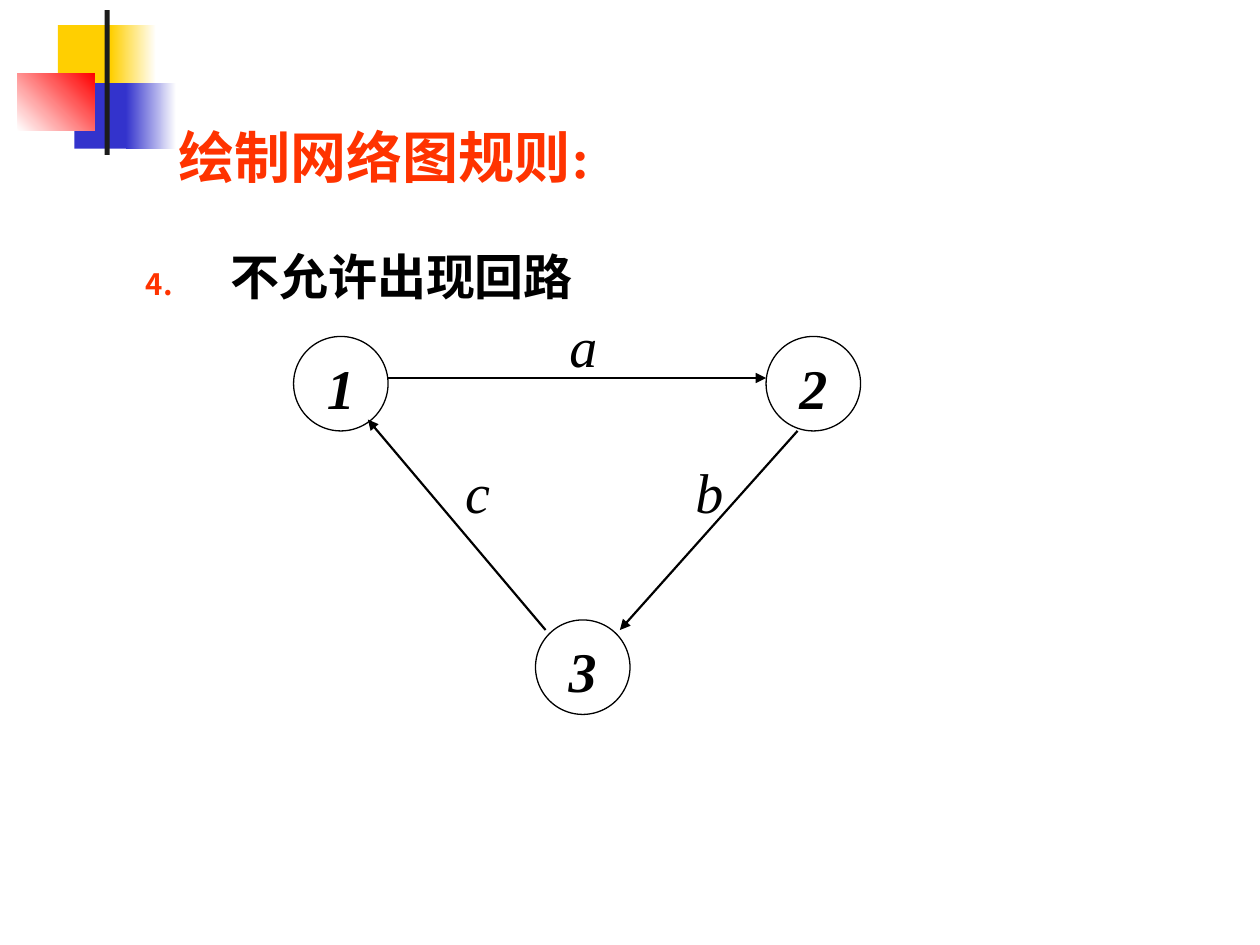
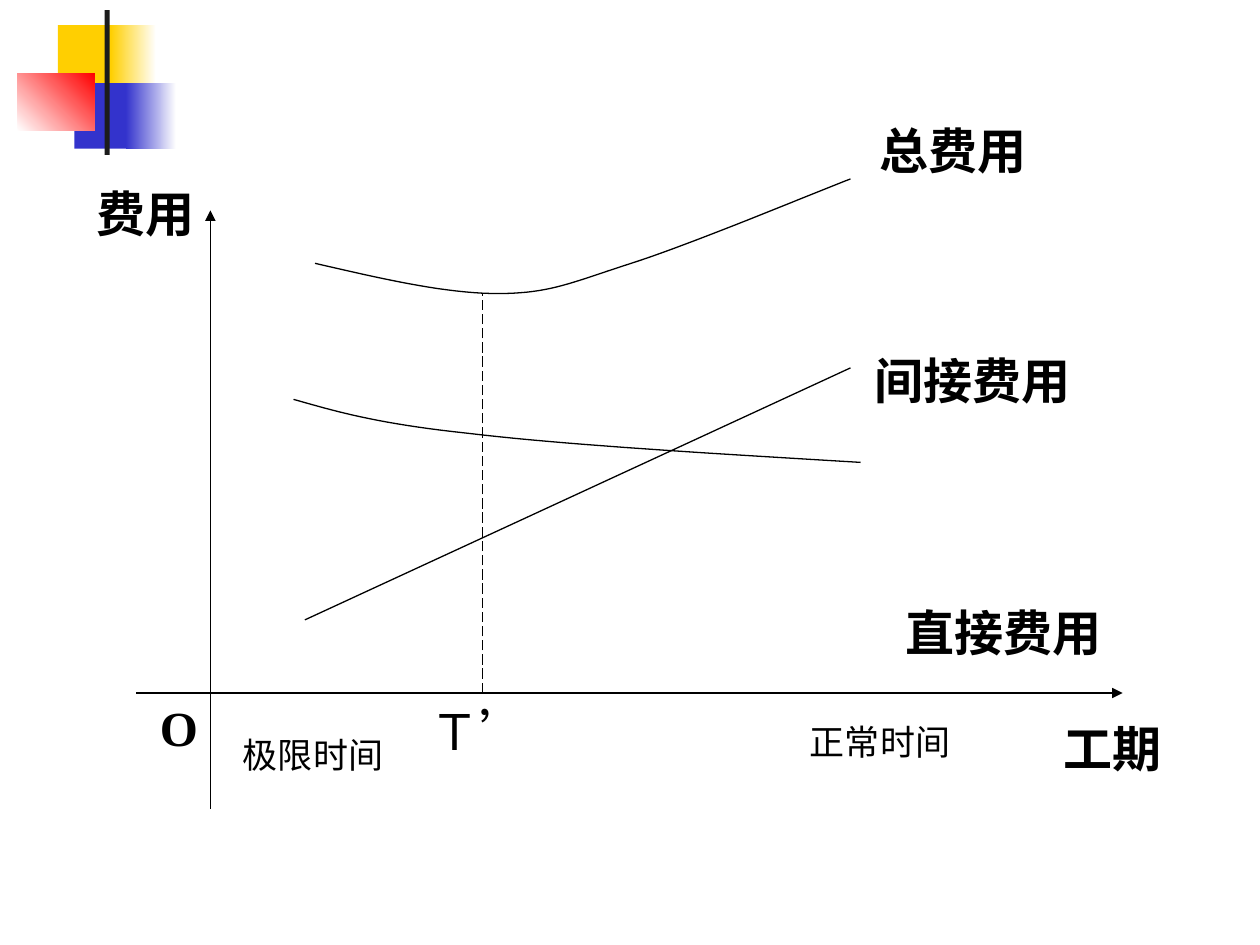
import pptx
import pptx.util
import pptx.dml.color
import pptx.enum.dml
import pptx.enum.shapes
import pptx.enum.text
import pptx.oxml
import pptx.oxml.ns
from dataclasses import dataclass

Inches = pptx.util.Inches
Pt = pptx.util.Pt
SHAPE = pptx.enum.shapes.MSO_SHAPE
CENTER = pptx.enum.text.PP_ALIGN.CENTER


@dataclass(frozen=True)
class Theme:
    ink: str = "000000"
    accent: str = "FF3300"
    yellow: str = "FFCF01"
    blue: str = "3333CC"
    red: str = "FF0000"
    white: str = "FFFFFF"
    bar: str = "1C1C1C"
    serif: str = "Times New Roman"
    sans: str = "Karla"
    large: int = 32
    medium: int = 28
    small: int = 20
    thin: float = 0.75
    arrow: float = 1.25


T = Theme()

# Corner ornament: left, top, width, height, colours, gradient angle
ORNAMENT = [
    (0.46, 0.2, 0.48, 0.52, [T.yellow], 0),
    (0.88, 0.2, 0.36, 0.52, [T.yellow, T.white], 0),
    (0.59, 0.66, 0.46, 0.52, [T.blue], 0),
    (1, 0.66, 0.4, 0.52, [T.blue, T.white], 0),
    (0.14, 0.58, 0.61, 0.46, [T.white, T.red], 45),
    (0.83, 0.08, 0.04, 1.15, [T.bar], 0),
]

# Network rules slide
TITLE = "绘制网络图规则:"
RULE_NUMBER, RULE = 4, "不允许出现回路"
NODE_SIZE = 0.75
NODES = [("1", 2.33, 2.67), ("2", 6.08, 2.67), ("3", 4.25, 4.92)]
# Activity: name, label box, arrow start, arrow end
ACTIVITIES = [
    ("a", (4.42, 2.42, 0.42, 0.64), (3.08, 3), (6.08, 3)),
    ("b", (5.42, 3.58, 0.42, 0.64), (6.33, 3.42), (4.92, 5)),
    ("c", (3.59, 3.58, 0.4, 0.64), (4.33, 5), (2.92, 3.33)),
]

# Cost and duration slide
AXES = [((1.08, 5.5), (8.91, 5.5)), ((1.67, 6.42), (1.67, 1.67))]
OPTIMUM = ((3.83, 5.5), (3.83, 2.33))
INDIRECT_COST = ((2.42, 4.92), (6.75, 2.92))
# Each curve: a start point, then cubic pieces of two controls and an end
COST_CURVES = [
    ((2.33, 3.17), [((2.65, 3.26), (2.97, 3.36), (3.72, 3.44)),
                    ((4.47, 3.53), (5.65, 3.6), (6.83, 3.67))]),
    ((2.5, 2.09), [((3.02, 2.21), (3.53, 2.33), (3.95, 2.33)),
                   ((4.37, 2.33), (4.54, 2.24), (5.01, 2.09)),
                   ((5.48, 1.94), (6.44, 1.54), (6.75, 1.42))]),
]
COST_LABELS = [
    ("费用", (0.67, 1.17, 1, 0.8)),
    ("工期", (8.34, 5.42, 1, 0.8)),
    ("间接费用", (6.84, 2.5, 1.78, 0.8)),
    ("直接费用", (7.09, 4.5, 1.78, 0.8)),
    ("总费用", (6.88, 0.67, 1.4, 0.8)),
]
ORIGIN = ("O", (1.17, 5.25, 0.98, 0.8))
TIME_LABELS = [
    ("Ｔ’", (3.32, 5.52, 1, 0.57), T.medium),
    ("极限时间", (1.83, 5.77, 1.34, 0.44), T.small),
    ("正常时间", (6.33, 5.67, 1.34, 0.44), T.small),
]


def rgb(color):
    return pptx.dml.color.RGBColor.from_string(color)


def add_element(parent, tag, **attributes):
    child = pptx.oxml.parse_xml(f"<a:{tag} {pptx.oxml.ns.nsdecls('a')}/>")
    for name, value in attributes.items():
        child.set(name, str(value))
    parent.append(child)
    return child


def write(sp, text, size, bold=False, italic=False, color=T.ink,
          font=T.serif, align=None, spacing=None):
    p = sp.text_frame.paragraphs[0]
    p.text = text
    if align is not None:
        p.alignment = align
    if spacing:
        p.line_spacing = spacing
    f = p.runs[0].font
    f.name, f.size, f.bold, f.italic = font, Pt(size), bold, italic
    f.color.rgb = rgb(color)


def add_label(slide, text, box, size, wrap=False, **style):
    sp = slide.shapes.add_textbox(*map(Inches, box))
    tf = sp.text_frame
    tf.word_wrap = wrap
    tf.auto_size = pptx.enum.text.MSO_AUTO_SIZE.SHAPE_TO_FIT_TEXT
    write(sp, text, size, **style)


def add_line(slide, start, end, width=T.thin, arrow=False, dashed=False):
    cx = slide.shapes.add_connector(
        pptx.enum.shapes.MSO_CONNECTOR.STRAIGHT, *map(Inches, start + end))
    cx.line.color.rgb = rgb(T.ink)
    cx.line.width = Pt(width)
    if dashed:
        cx.line.dash_style = pptx.enum.dml.MSO_LINE.LONG_DASH
    if arrow:
        add_element(cx.line._get_or_add_ln(), "tailEnd", type="triangle")
    add_element(cx._element.spPr, "effectLst")


def outline(sp):
    sp.shadow.inherit = False
    sp.fill.background()
    sp.line.color.rgb = rgb(T.ink)
    sp.line.width = Pt(T.thin)


def add_curve(slide, start, pieces, steps=20):
    """Draw joined cubic curves as one fine open outline."""
    points, p0 = [], start
    for p1, p2, p3 in pieces:
        for i in range(1, steps + 1):
            t = i / steps
            u = 1 - t
            points.append(tuple(
                Inches(u**3 * a + 3 * u * u * t * b + 3 * u * t * t * c + t**3 * d)
                for a, b, c, d in zip(p0, p1, p2, p3)))
        p0 = p3
    builder = slide.shapes.build_freeform(*map(Inches, start))
    builder.add_line_segments(points, close=False)
    outline(builder.convert_to_shape())


def add_ornament(slide):
    for *box, colors, angle in ORNAMENT:
        sp = slide.shapes.add_shape(SHAPE.RECTANGLE, *map(Inches, box))
        sp.shadow.inherit = False
        sp.line.fill.background()
        if len(colors) == 1:
            sp.fill.solid()
            sp.fill.fore_color.rgb = rgb(colors[0])
        else:
            sp.fill.gradient()
            sp.fill.gradient_angle = angle
            for i, (stop, color) in enumerate(zip(sp.fill.gradient_stops, colors)):
                stop.color.rgb = rgb(color)
                stop.position = i


def add_rule(slide):
    sp = slide.shapes.add_textbox(*map(Inches, (1.06, 1.91, 7.88, 3.76)))
    sp.text_frame.word_wrap = True
    pPr = sp.text_frame.paragraphs[0]._p.get_or_add_pPr()
    indent = Inches(0.67)
    pPr.set("marL", str(indent))
    pPr.set("indent", str(-indent))
    add_element(add_element(pPr, "buClr"), "srgbClr", val=T.accent)
    add_element(pPr, "buSzPct", val=60000)
    add_element(pPr, "buAutoNum", type="arabicPeriod", startAt=RULE_NUMBER)
    write(sp, RULE, T.medium, bold=True, font=T.sans)


def build_network(slide):
    add_rule(slide)
    for name, left, top in NODES:
        sp = slide.shapes.add_shape(
            SHAPE.OVAL, *map(Inches, (left, top, NODE_SIZE, NODE_SIZE)))
        outline(sp)
        tf = sp.text_frame
        tf.word_wrap = False
        tf.margin_left = tf.margin_right = tf.margin_bottom = 0
        tf.margin_top = Inches(0.05)
        tf.vertical_anchor = pptx.enum.text.MSO_ANCHOR.MIDDLE
        write(sp, name, T.large, bold=True, italic=True, align=CENTER)
    for name, box, start, end in ACTIVITIES:
        add_line(slide, start, end, T.arrow, arrow=True)
        add_label(slide, name, box, T.large, italic=True, align=CENTER)
    add_label(slide, TITLE, (1.32, 0.92, 3.57, 0.64), T.large,
              bold=True, color=T.accent)


def build_costs(slide):
    for start, end in AXES:
        add_line(slide, start, end, arrow=True)
    add_line(slide, *OPTIMUM, dashed=True)
    add_line(slide, *INDIRECT_COST)
    for start, pieces in COST_CURVES:
        add_curve(slide, start, pieces)
    for text, box in COST_LABELS:
        add_label(slide, text, box, T.medium, bold=True, spacing=1.5)
    add_label(slide, *ORIGIN, T.medium, wrap=True, bold=True, spacing=1.5)
    for text, box, size in TIME_LABELS:
        add_label(slide, text, box, size)


def main():
    prs = pptx.Presentation()
    prs.slide_width, prs.slide_height = Inches(10), Inches(7.5)
    for build in (build_network, build_costs):
        slide = prs.slides.add_slide(prs.slide_layouts[6])
        add_ornament(slide)
        build(slide)
    prs.save("out.pptx")


if __name__ == "__main__":
    main()
